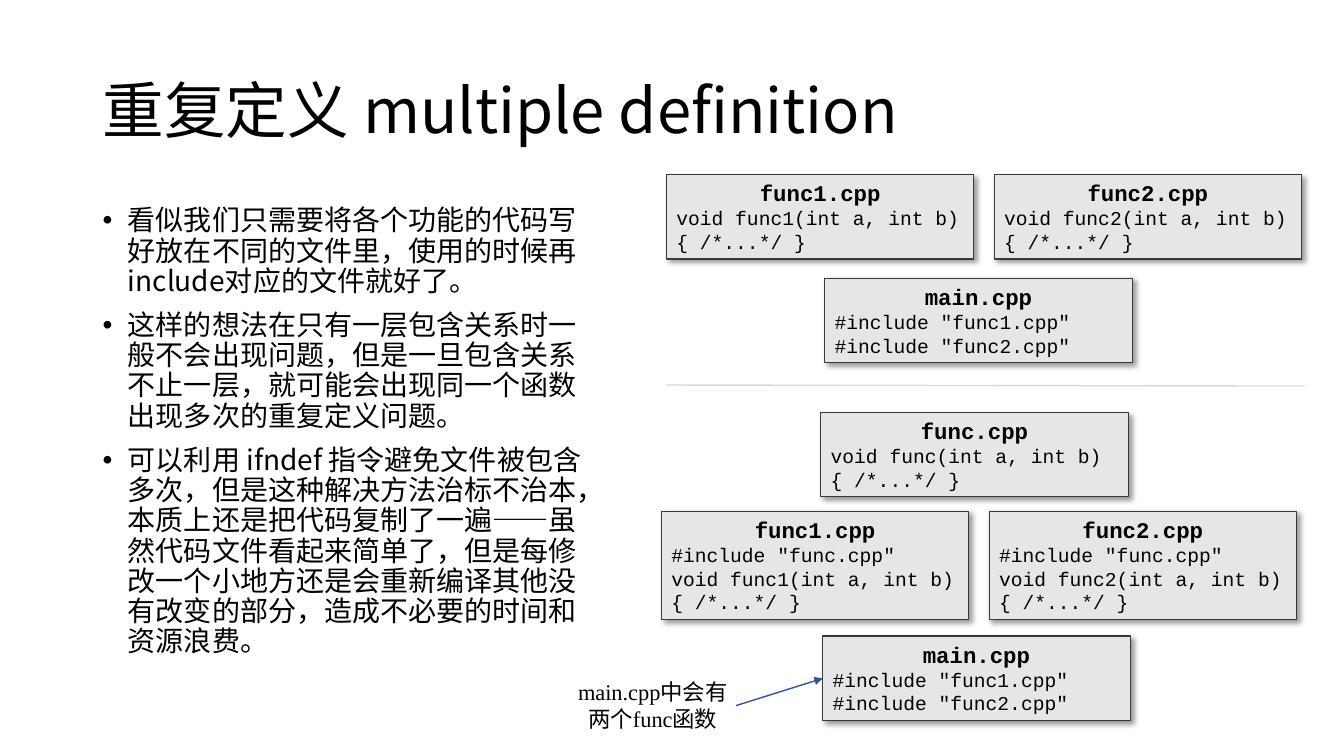
from lxml import etree
from pptx import Presentation
from pptx.dml.color import RGBColor
from pptx.enum.shapes import MSO_CONNECTOR, MSO_SHAPE
from pptx.enum.text import MSO_ANCHOR, PP_ALIGN
from pptx.oxml import parse_xml
from pptx.oxml.ns import qn
from pptx.util import Inches, Pt

RECT = MSO_SHAPE.RECTANGLE
LINE = MSO_CONNECTOR.STRAIGHT
TOP, MIDDLE = MSO_ANCHOR.TOP, MSO_ANCHOR.MIDDLE
LEFT, CENTER = PP_ALIGN.LEFT, PP_ALIGN.CENTER

COLORS = {"text": "000000", "card": "E7E6E6", "edge": "3B3838",
          "rule": "D9D9D9", "arrow": "2F5597"}
SANS, CODE, SERIF = "Noto Sans CJK SC", "Courier New", "Times New Roman"
HEAD = {"name": CODE, "size": Pt(16), "bold": True}
BODY = {"name": CODE, "size": Pt(14), "bold": False}

SHADOW = (
    '<a:effectLst xmlns:a="http://schemas.openxmlformats.org/drawingml/2006/main">'
    '<a:outerShdw blurRad="50800" dist="38100" dir="2700000" algn="tl" rotWithShape="0">'
    '<a:srgbClr val="000000"><a:alpha val="40000"/></a:srgbClr>'
    '</a:outerShdw></a:effectLst>')

TITLE = "重复定义 multiple definition"
POINTS = [
    "看似我们只需要将各个功能的代码写好放在不同的文件里，使用的时候再include对应的文件就好了。",
    "这样的想法在只有一层包含关系时一般不会出现问题，但是一旦包含关系不止一层，"
    "就可能会出现同一个函数出现多次的重复定义问题。",
    "可以利用 ifndef 指令避免文件被包含多次，但是这种解决方法治标不治本，"
    "本质上还是把代码复制了一遍——虽然代码文件看起来简单了，但是每修改一个小地方"
    "还是会重新编译其他没有改变的部分，造成不必要的时间和资源浪费。",
]
NOTE = "main.cpp中会有两个func函数"

CARD_W = 3.05
SHARED = '#include "func.cpp"'
MAIN = ['#include "func1.cpp"', '#include "func2.cpp"']


def color(key):
    """Return the named colour."""
    return RGBColor.from_string(COLORS[key])


def define(name):
    """Return the code lines that define a function."""
    return [f"void {name}(int a, int b)", "{ /*...*/ }"]


def assign(target, values):
    """Set attributes from a dict."""
    for name, value in values.items():
        setattr(target, name, value)


def write(para, text, font, **layout):
    """Fill a paragraph with one styled run."""
    assign(para, layout)
    run = para.add_run()
    run.text = text
    assign(run.font, font)
    run.font.color.rgb = color("text")
    props = run._r.get_or_add_rPr()
    props.set("lang", "zh-CN")
    if font["name"] == SANS:
        etree.SubElement(props, qn("a:ea"), typeface=SANS)


def add_box(slide, box, anchor=TOP):
    """Add a wrapping text box and return its frame."""
    frame = slide.shapes.add_textbox(*map(Inches, box)).text_frame
    assign(frame, {"word_wrap": True, "vertical_anchor": anchor})
    return frame


def add_list(slide, box, points):
    """Add a bulleted list."""
    frame = add_box(slide, box)
    font = {"name": SANS, "size": Pt(20)}
    for i, point in enumerate(points):
        para = frame.add_paragraph() if i else frame.paragraphs[0]
        write(para, point, font, line_spacing=0.9, space_before=Pt(10))
        props = para._p.get_or_add_pPr()
        props.set("marL", str(Inches(0.25)))
        props.set("indent", str(-Inches(0.25)))
        props.set("hangingPunct", "1")
        etree.SubElement(props, qn("a:buFont"), typeface="Arial")
        etree.SubElement(props, qn("a:buChar"), char="•")


def add_card(slide, left, top, name, lines):
    """Add a shadowed source-file card."""
    height = 0.36 + 0.24 * len(lines)
    card = slide.shapes.add_shape(RECT, *map(Inches, (left, top, CARD_W, height)))
    card.fill.solid()
    card.fill.fore_color.rgb = color("card")
    card.line.color.rgb = color("edge")
    card.line.width = Pt(0.75)
    card._element.spPr.append(parse_xml(SHADOW))
    frame = card.text_frame
    assign(frame, {"word_wrap": True, "vertical_anchor": TOP})
    write(frame.paragraphs[0], name, HEAD, alignment=CENTER)
    for line in lines:
        write(frame.add_paragraph(), line, BODY, alignment=LEFT)


def add_line(slide, start, end, key, arrow=False):
    """Add a thin line, with an arrowhead at its end if asked."""
    line = slide.shapes.add_connector(LINE, *map(Inches, start + end))
    line.line.color.rgb = color(key)
    line.line.width = Pt(1)
    if arrow:
        etree.SubElement(line.line._get_or_add_ln(), qn("a:tailEnd"), type="triangle")
    etree.SubElement(line._element.spPr, qn("a:effectLst"))


def main():
    """Build the slide and save it."""
    deck = Presentation()
    assign(deck, {"slide_width": Inches(13.33), "slide_height": Inches(7.5)})
    slide = deck.slides.add_slide(deck.slide_layouts[6])

    title = add_box(slide, (0.92, 0.4, 11.5, 1.45), MIDDLE)
    write(title.paragraphs[0], TITLE, {"name": SANS, "size": Pt(44)}, line_spacing=0.9)
    add_list(slide, (0.92, 2, 5.12, 4.78), POINTS)

    for i, name in enumerate(("func1", "func2")):
        step = 3.25 * i
        add_card(slide, 6.61 + step, 1.73, f"{name}.cpp", define(name))
        add_card(slide, 6.56 + step, 5.07, f"{name}.cpp", [SHARED] + define(name))
    add_card(slide, 8.18, 2.76, "main.cpp", MAIN)
    add_card(slide, 8.14, 4.09, "func.cpp", define("func"))
    add_card(slide, 8.16, 6.31, "main.cpp", MAIN)

    add_line(slide, (6.61, 3.82), (12.94, 3.83), "rule")
    add_line(slide, (7.3, 7), (8.16, 6.73), "arrow", arrow=True)
    note = add_box(slide, (5.54, 6.68, 1.87, 0.64))
    write(note.paragraphs[0], NOTE, {"name": SERIF, "size": Pt(16)}, alignment=CENTER)

    deck.save("out.pptx")


main()
